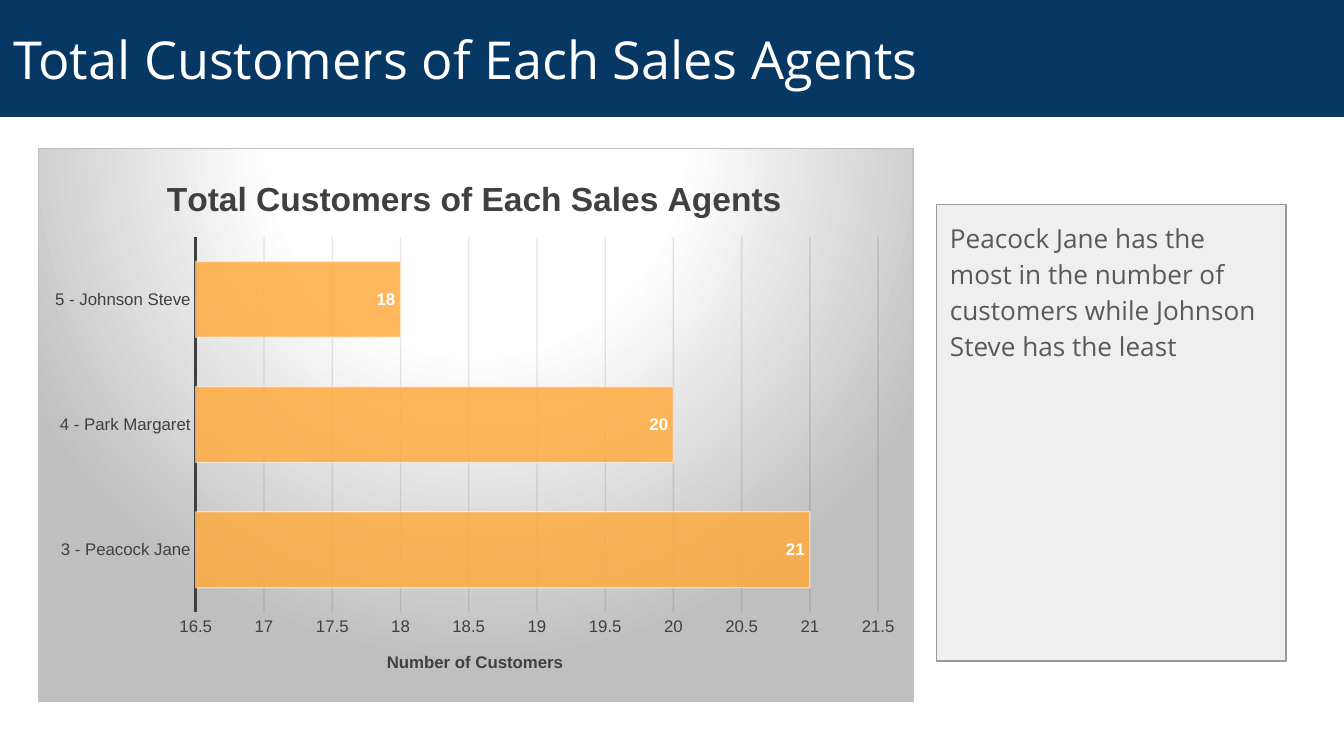
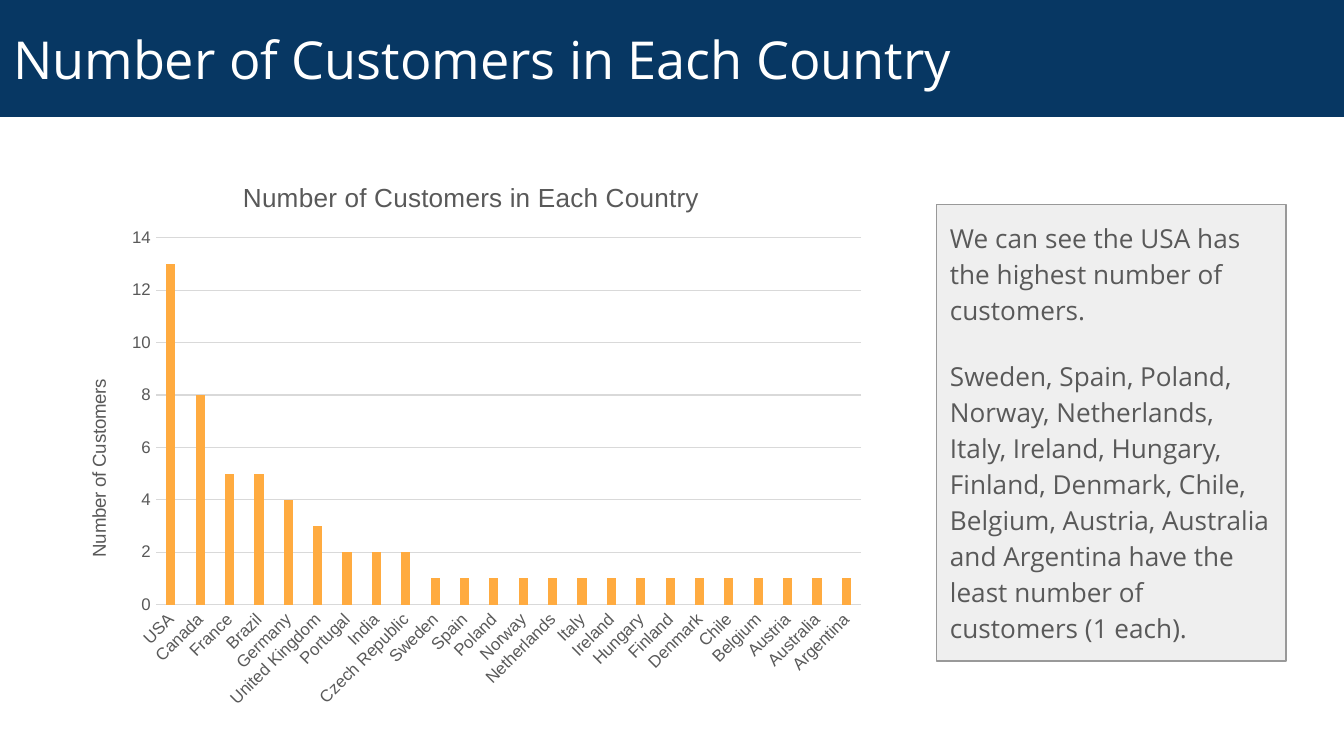
"""Builds two slides on customer counts, each with a title band, a chart and a comment box."""
from dataclasses import dataclass
from typing import Any, Optional

from lxml import etree
from pptx import Presentation
from pptx.chart.data import CategoryChartData
from pptx.dml.color import RGBColor
from pptx.enum import chart as ch, shapes, text
from pptx.oxml import ns
from pptx.util import Inches, Pt

NAVY = RGBColor(0x07, 0x37, 0x63)
WHITE = RGBColor(0xFF, 0xFF, 0xFF)
PANEL = RGBColor(0xEF, 0xEF, 0xEF)
PANEL_EDGE = RGBColor(0x99, 0x99, 0x99)
ORANGE = RGBColor(0xFF, 0xAB, 0x40)
GREY = RGBColor(0x59, 0x59, 0x59)
CHARCOAL = RGBColor(0x40, 0x40, 0x40)
PALE = RGBColor(0xD9, 0xD9, 0xD9)
SILVER = RGBColor(0xBF, 0xBF, 0xBF)
INK = RGBColor(0x0D, 0x0D, 0x0D)
TEXT_FONT, CHART_FONT = "Open Sans", "Arial"

SLIDE_WIDTH = Inches(10)
SLIDE_HEIGHT = SLIDE_WIDTH * 9 // 16
BAND_BOX = (0, 0, 10, 0.87)
COMMENT_BOX = (6.97, 1.52, 2.6, 3.4)
VALUE_TITLE = "Number of Customers"
HALO_STOPS = ((0, WHITE), (39, WHITE), (100, SILVER))


@dataclass(frozen=True)
class ChartStyle:
    """Look of one chart; plot and title_spot are shares of the chart."""
    kind: ch.XL_CHART_TYPE
    box: tuple[float, float, float, float]
    plot: tuple[float, float, float, float]
    title_spot: tuple[float, float]
    ink: RGBColor
    title_size: float
    axis_title_size: float
    bold: bool
    gap: int
    overlap: int
    axis_line: tuple[RGBColor, float]
    grid: RGBColor
    grid_opacity: int
    scale: tuple[float, float, float]
    category_turn: int
    value_title_turn: int
    halo: bool
    labelled: bool


@dataclass(frozen=True)
class Report:
    """Content of one slide."""
    title: str
    comments: tuple[str, ...]
    counts: dict[str, int]
    style: ChartStyle


AGENT_STYLE = ChartStyle(
    kind=ch.XL_CHART_TYPE.BAR_CLUSTERED, box=(0.28, 1.1, 6.52, 4.12),
    plot=(0.18, 0.16, 0.78, 0.68), title_spot=(0.14, 0.04), ink=CHARCOAL, title_size=18,
    axis_title_size=9, bold=True, gap=65, overlap=0, axis_line=(CHARCOAL, 1.5), grid=INK,
    grid_opacity=10, scale=(16.5, 21.5, 0.5), category_turn=0, value_title_turn=0,
    halo=True, labelled=True)
COUNTRY_STYLE = ChartStyle(
    kind=ch.XL_CHART_TYPE.COLUMN_CLUSTERED, box=(0.43, 1.14, 6.1, 4.2),
    plot=(0.12, 0.15, 0.86, 0.65), title_spot=(0.22, 0.04), ink=GREY, title_size=14,
    axis_title_size=10, bold=False, gap=219, overlap=-27, axis_line=(PALE, 0.75), grid=PALE,
    grid_opacity=100, scale=(0, 14, 2), category_turn=-45, value_title_turn=-90,
    halo=False, labelled=False)

SINGLE_CUSTOMER = ("Sweden", "Spain", "Poland", "Norway", "Netherlands", "Italy", "Ireland",
                   "Hungary", "Finland", "Denmark", "Chile", "Belgium", "Austria",
                   "Australia", "Argentina")
REPORTS = (
    Report("Total Customers of Each Sales Agents",
           ("Peacock Jane has the most in the number of customers while Johnson Steve "
            "has the least",),
           {"3 - Peacock Jane": 21, "4 - Park Margaret": 20, "5 - Johnson Steve": 18},
           AGENT_STYLE),
    Report("Number of Customers in Each Country",
           ("We can see the USA has the highest number of customers.",
            f"{', '.join(SINGLE_CUSTOMER[:-1])} and {SINGLE_CUSTOMER[-1]} have the least "
            "number of customers (1 each)."),
           {"USA": 13, "Canada": 8, "France": 5, "Brazil": 5, "Germany": 4,
            "United Kingdom": 3, "Portugal": 2, "India": 2, "Czech Republic": 2,
            **dict.fromkeys(SINGLE_CUSTOMER, 1)},
           COUNTRY_STYLE),
)


def assign(target: Any, **values: Any) -> None:
    """Set each named attribute of the target."""
    for name, value in values.items():
        setattr(target, name, value)


def set_font(font: Any, name: str, size: float, color: RGBColor, bold: bool = False) -> None:
    """Style a font."""
    assign(font, name=name, size=Pt(size), bold=bold)
    font.color.rgb = color


def set_line(line: Any, color: RGBColor, width: float) -> None:
    """Style a line."""
    line.color.rgb = color
    line.width = Pt(width)


def set_opacity(element: Any, *percents: int) -> None:
    """Give the colours within an element their opacities, in order."""
    for color, percent in zip(element.iter(ns.qn("a:srgbClr")), percents):
        etree.SubElement(color, ns.qn("a:alpha"), val=str(percent * 1000))


def add_panel(slide: Any, box: tuple, fill: RGBColor, paragraphs: tuple[str, ...],
              size: float, color: RGBColor, anchor: Any, edge: Optional[RGBColor] = None,
              **spacing: Any) -> None:
    """Add a filled rectangle holding left-aligned text."""
    panel = slide.shapes.add_shape(shapes.MSO_SHAPE.RECTANGLE, *map(Inches, box))
    panel.shadow.inherit = False
    panel.fill.solid()
    panel.fill.fore_color.rgb = fill
    if edge is None:
        panel.line.fill.background()
    else:
        set_line(panel.line, edge, 0.75)
    frame = panel.text_frame
    margins = dict.fromkeys(
        ("margin_left", "margin_top", "margin_right", "margin_bottom"), Inches(0.1))
    assign(frame, word_wrap=True, vertical_anchor=anchor, **margins)
    for index, wording in enumerate(paragraphs):
        paragraph = frame.add_paragraph() if index else frame.paragraphs[0]
        assign(paragraph, alignment=text.PP_ALIGN.LEFT, **spacing)
        run = paragraph.add_run()
        run.text = wording
        set_font(run.font, TEXT_FONT, size, color)


def set_title(title: Any, wording: str, size: float, style: ChartStyle) -> None:
    """Write a chart or axis title."""
    run = title.text_frame.paragraphs[0].add_run()
    run.text = wording
    set_font(run.font, CHART_FONT, size, style.ink, style.bold)


def paint_area(chart: Any, halo: bool) -> None:
    """Give the chart area a radial gradient and edge, or leave it clear."""
    if halo:
        stops = "".join(f'<a:gs pos="{place * 1000}"><a:srgbClr val="{color}"/></a:gs>'
                        for place, color in HALO_STOPS)
        look = (f'<a:gradFill><a:gsLst>{stops}</a:gsLst><a:path path="circle">'
                '<a:fillToRect l="50000" t="-80000" r="50000" b="180000"/></a:path>'
                f'</a:gradFill><a:ln w="{Pt(0.75)}"><a:solidFill>'
                f'<a:srgbClr val="{SILVER}"/></a:solidFill></a:ln>')
    else:
        look = "<a:noFill/><a:ln><a:noFill/></a:ln>"
    area = etree.fromstring(f'<c:spPr {ns.nsdecls("c", "a")}>{look}</c:spPr>')
    chart._chartSpace.find(ns.qn("c:chart")).addnext(area)


def place(part: Any, index: int, shares: tuple, *target: tuple[str, str]) -> None:
    """Fix a chart part by its shares of the chart, as the child at the index."""
    for layout in part.findall(ns.qn("c:layout")):
        part.remove(layout)
    settings = (*target, ("xMode", "edge"), ("yMode", "edge"), *zip("xywh", shares))
    rules = "".join(f'<c:{name} val="{value}"/>' for name, value in settings)
    part.insert(index, etree.fromstring(
        f'<c:layout {ns.nsdecls("c")}><c:manualLayout>{rules}</c:manualLayout></c:layout>'))


def style_axes(chart: Any, style: ChartStyle) -> None:
    """Style both axes, the gridlines and the value title."""
    categories, values = chart.category_axis, chart.value_axis
    for axis in (categories, values):
        assign(axis, major_tick_mark=ch.XL_TICK_MARK.NONE,
               minor_tick_mark=ch.XL_TICK_MARK.NONE)
        set_font(axis.tick_labels.font, CHART_FONT, 9, style.ink)
    categories.has_major_gridlines = False
    set_line(categories.format.line, *style.axis_line)
    turn = str(style.category_turn * 60000)
    categories._element.find(ns.qn("c:txPr")).find(ns.qn("a:bodyPr")).set("rot", turn)

    low, high, step = style.scale
    assign(values, minimum_scale=low, maximum_scale=high, major_unit=step,
           has_major_gridlines=True, has_title=True)
    values.format.line.fill.background()
    set_line(values.major_gridlines.format.line, style.grid, 0.75)
    if style.grid_opacity < 100:
        set_opacity(values._element.find(ns.qn("c:majorGridlines")), style.grid_opacity)
    set_title(values.axis_title, VALUE_TITLE, style.axis_title_size, style)
    body = values.axis_title._element.find(".//" + ns.qn("a:bodyPr"))
    body.set("rot", str(style.value_title_turn * 60000))
    body.set("vert", "horz")


def add_count_chart(slide: Any, report: Report) -> None:
    """Add the chart of customer counts."""
    style = report.style
    data = CategoryChartData()
    data.categories = list(report.counts)
    data.add_series("Series 1", list(report.counts.values()))
    chart = slide.shapes.add_chart(style.kind, *map(Inches, style.box), data).chart
    assign(chart, has_legend=False, has_title=True)
    set_font(chart.font, CHART_FONT, 10, RGBColor(0, 0, 0))
    set_title(chart.chart_title, report.title, style.title_size, style)
    chart.chart_title.include_in_layout = False
    paint_area(chart, style.halo)
    place(chart.chart_title._element, 1, style.title_spot)
    place(chart._chartSpace.find(".//" + ns.qn("c:plotArea")), 0, style.plot,
          ("layoutTarget", "inner"))
    style_axes(chart, style)

    bars = chart.plots[0]
    assign(bars, gap_width=style.gap, overlap=style.overlap, vary_by_categories=False)
    series = bars.series[0]
    series.invert_if_negative = False
    series.format.fill.solid()
    series.format.fill.fore_color.rgb = ORANGE
    if style.labelled:
        set_line(series.format.line, WHITE, 0.75)
        set_opacity(series._element.find(ns.qn("c:spPr")), 85, 50)
        labels = series.data_labels
        assign(labels, show_value=True, position=ch.XL_LABEL_POSITION.INSIDE_END)
        set_font(labels.font, CHART_FONT, 9, WHITE, bold=True)


def add_report(deck: Any, report: Report) -> None:
    """Add one slide with its comment box, title band and chart."""
    slide = deck.slides.add_slide(deck.slide_layouts[6])
    add_panel(slide, COMMENT_BOX, PANEL, report.comments, 14, GREY, text.MSO_ANCHOR.TOP,
              edge=PANEL_EDGE, line_spacing=1.15, space_after=Pt(16))
    add_panel(slide, BAND_BOX, NAVY, (report.title,), 28, WHITE, text.MSO_ANCHOR.MIDDLE)
    add_count_chart(slide, report)


def main() -> None:
    """Build and save the deck."""
    deck = Presentation()
    assign(deck, slide_width=SLIDE_WIDTH, slide_height=SLIDE_HEIGHT)
    for report in REPORTS:
        add_report(deck, report)
    deck.save("out.pptx")


main()
